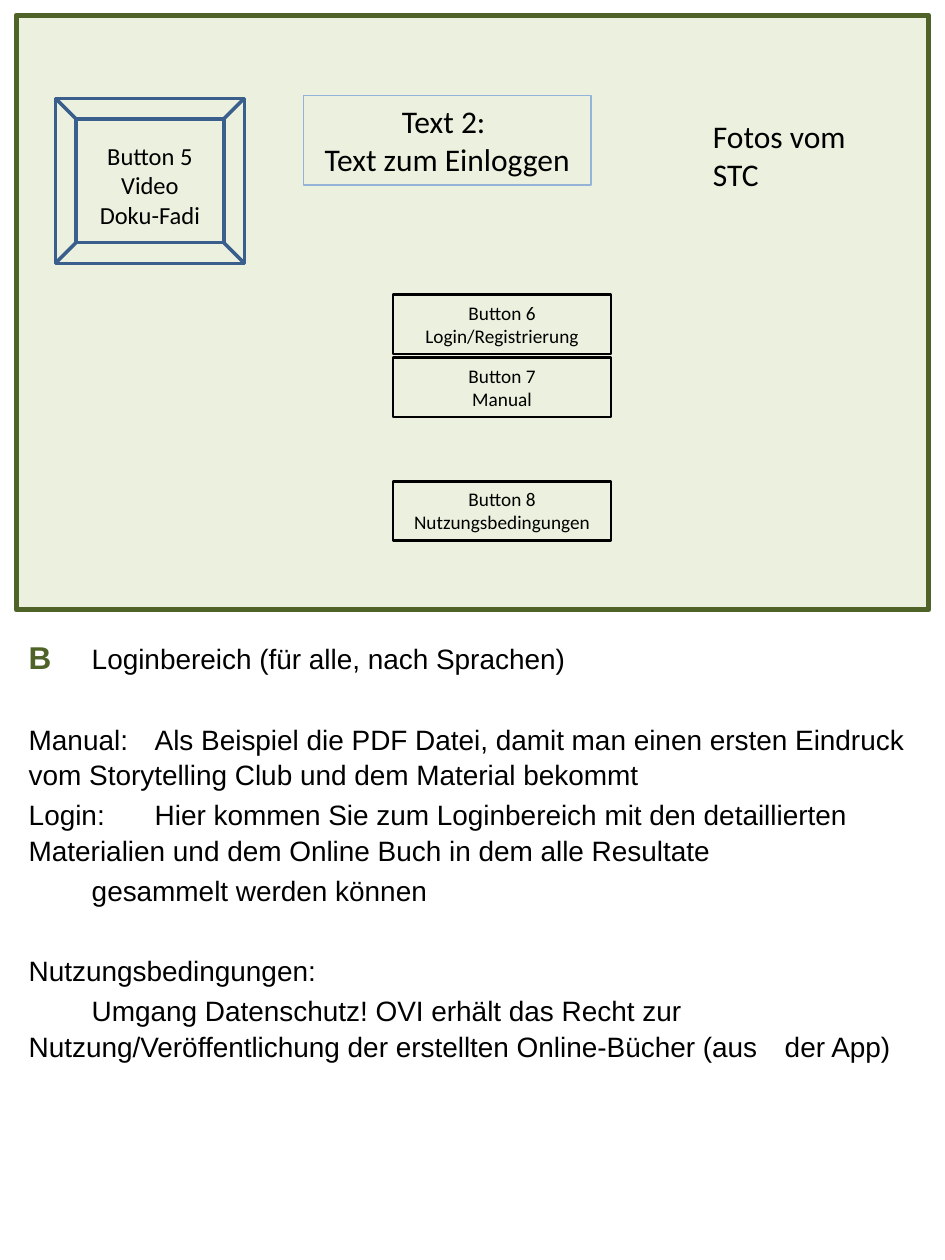
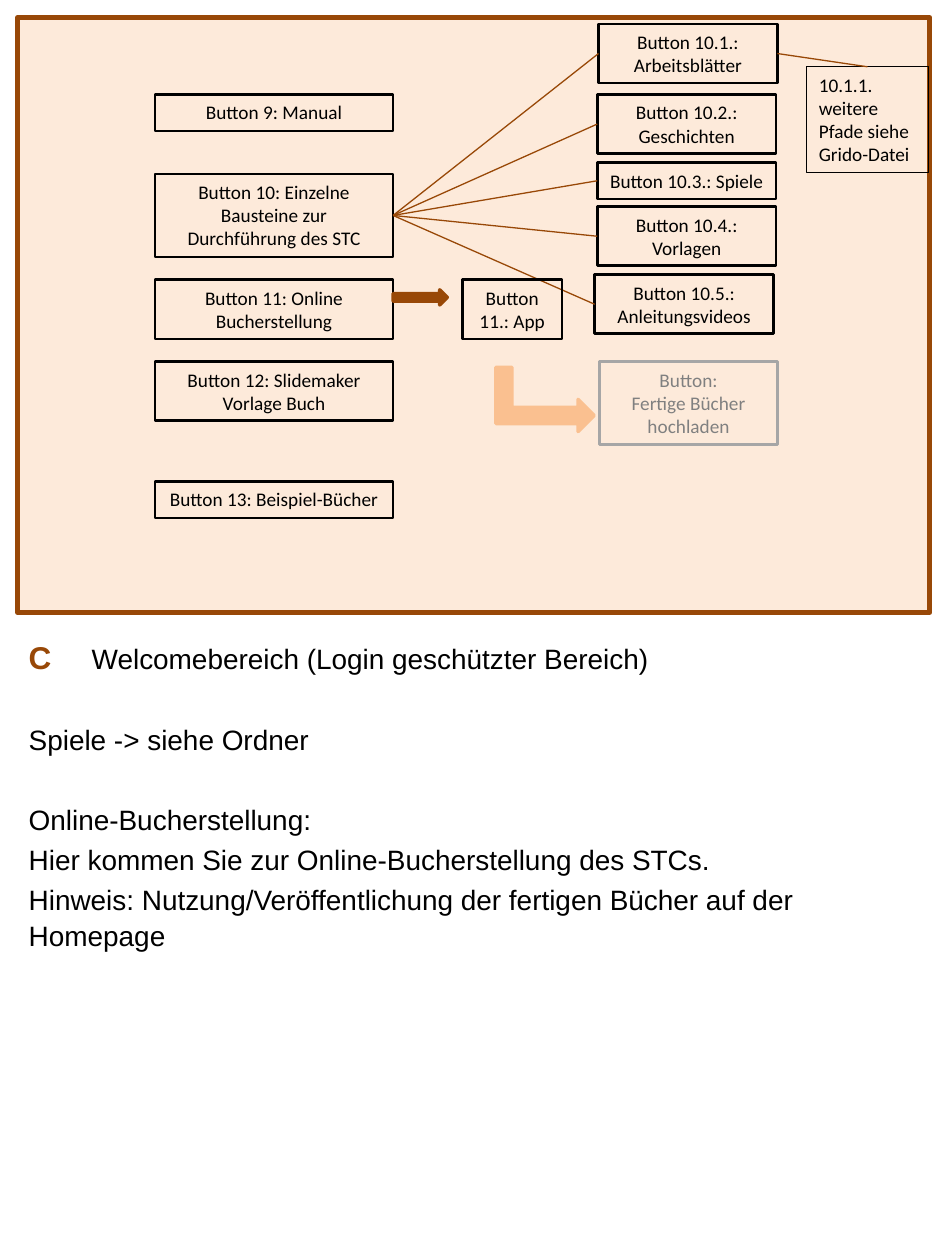
import pptx
import pptx.dml.color
import pptx.enum.shapes
import pptx.enum.text
import pptx.util
import lxml.etree

SHAPES = pptx.enum.shapes.MSO_SHAPE
LEFT = pptx.enum.text.PP_ALIGN.LEFT
CENTER = pptx.enum.text.PP_ALIGN.CENTER
BLACK, BLUE, PALE_BLUE = "000000", "3A5F8C", "95B3D7"
GREEN, PALE_GREEN = "4F6228", "EBF1DE"
BROWN, PALE_ORANGE, ORANGE = "984807", "FDEADA", "FAC090"
GRAY, LIGHT_GRAY = "808080", "A6A6A6"

presentation = pptx.Presentation()
presentation.slide_width = pptx.util.Inches(7.5)
presentation.slide_height = pptx.util.Inches(10)

# Grid of 75 columns and 100 rows
COLUMN = presentation.slide_width / 75
ROW = presentation.slide_height / 100
PANEL_WIDTH, PANEL_HEIGHT = 72.4, 47.2
ONE_LINE, TWO_LINES, THREE_LINES = 2.9, 4.7, 6.6


def color(hex_code):
    return pptx.dml.color.RGBColor.from_string(hex_code)


def add_box(slide, left, top, width, height, text="", kind=SHAPES.RECTANGLE, fill=None,
            line=None, line_width=1.5, font="Calibri", size=11, ink=BLACK, align=CENTER):
    shape = slide.shapes.add_shape(kind, round(left * COLUMN), round(top * ROW),
                                   round(width * COLUMN), round(height * ROW))
    shape.shadow.inherit = False
    if fill:
        shape.fill.solid()
        shape.fill.fore_color.rgb = color(fill)
    else:
        shape.fill.background()
    if line:
        shape.line.color.rgb = color(line)
        shape.line.width = pptx.util.Pt(line_width)
    else:
        shape.line.fill.background()
    if text:
        frame = shape.text_frame
        frame.word_wrap = True
        frame.vertical_anchor = pptx.enum.text.MSO_ANCHOR.TOP
        frame.text = text
        for paragraph in frame.paragraphs:
            paragraph.alignment = align
            for run in paragraph.runs:
                run.font.name = font
                run.font.size = pptx.util.Pt(size)
                run.font.color.rgb = color(ink)
    return shape


# Notes and panel shared by both slides; each section is set off by a wide gap
pages = [
    ("B", "Loginbereich (für alle, nach Sprachen)", GREEN, PALE_GREEN, 1.3, 1.2, [
        ["Manual: \tAls Beispiel die PDF Datei, damit man einen ersten Eindruck "
         "\tvom Storytelling Club und dem Material bekommt",
         "Login:\tHier kommen Sie zum Loginbereich mit den detaillierten "
         "\tMaterialien und dem Online Buch in dem alle Resultate",
         "\tgesammelt werden können"],
        ["Nutzungsbedingungen:",
         "\tUmgang Datenschutz! OVI erhält das Recht zur "
         "\t\tNutzung/Veröffentlichung der erstellten Online-Bücher (aus \tder App)"],
    ]),
    ("C", "Welcomebereich (Login geschützter Bereich)", BROWN, PALE_ORANGE, 1.4, 1.4, [
        ["Spiele -> siehe Ordner"],
        ["Online-Bucherstellung:",
         "Hier kommen Sie zur Online-Bucherstellung des STCs.",
         "Hinweis: Nutzung/Veröffentlichung der fertigen Bücher auf der Homepage"],
    ]),
]
slides = []
for letter, title, dark, pale, panel_left, panel_top, sections in pages:
    slide = presentation.slides.add_slide(presentation.slide_layouts[6])
    slides.append(slide)
    lines = [letter] + [line for section in sections for line in section]
    gaps = [3] + [3 if position else 25.5 for section in sections
                  for position in range(len(section))]
    notes = add_box(slide, 1.3, 50, PANEL_WIDTH, PANEL_HEIGHT, "\n".join(lines),
                    font="Arial", size=16, align=LEFT)
    for paragraph, gap in zip(notes.text_frame.paragraphs, gaps):
        paragraph.space_before = pptx.util.Pt(gap)
        paragraph.line_spacing = 1.05

    heading = notes.text_frame.paragraphs[0]
    letter_font = heading.runs[0].font
    letter_font.size = pptx.util.Pt(18)
    letter_font.bold = True
    letter_font.color.rgb = color(dark)
    title_run = heading.add_run()
    title_run.text = "\t" + title
    title_run.font.name = "Arial"
    title_run.font.size = pptx.util.Pt(16)
    title_run.font.color.rgb = color(BLACK)

    add_box(slide, panel_left, panel_top, PANEL_WIDTH, PANEL_HEIGHT,
            fill=pale, line=dark, line_width=3)

login_slide, welcome_slide = slides

# Login area: buttons
for top, text in [(23.4, "Button 6\nLogin/Registrierung"),
                  (28.4, "Button 7\nManual"),
                  (38.2, "Button 8\nNutzungsbedingungen")]:
    add_box(login_slide, 31.2, top, 17.3, TWO_LINES, text, line=BLACK)

# Login area: texts and video button
add_box(login_slide, 24.1, 7.6, 22.8, 7.1, "Text 2: \nText zum Einloggen",
        line=PALE_BLUE, line_width=0.75, size=18)
add_box(login_slide, 5.2, 10.7, 13.4, 8.1, "Button 5\nVideo\nDoku-Fadi", size=14)
add_box(login_slide, 4.4, 7.8, 15, 13.1, kind=SHAPES.BEVEL, line=BLUE, line_width=2)
add_box(login_slide, 55.6, 8.8, 13.4, 7.1, "Fotos vom STC", size=18, align=LEFT)

# Welcome area: main buttons
main_buttons = [
    add_box(welcome_slide, 12.3, top, 18.9, height, text, line=BLACK)
    for top, height, text in [
        (7.5, ONE_LINE, "Button 9: Manual"),
        (13.8, THREE_LINES, "Button 10: Einzelne Bausteine zur Durchführung des STC"),
        (22.2, TWO_LINES, "Button 11: Online Bucherstellung"),
        (28.7, TWO_LINES, "Button 12: Slidemaker Vorlage Buch"),
        (38.2, ONE_LINE, "Button 13: Beispiel-Bücher"),
    ]
]
modules_button = main_buttons[1]

# Welcome area: module buttons
module_buttons = [
    add_box(welcome_slide, left, top, 14.2, height, text, line=BLACK)
    for left, top, height, text in [
        (47.5, 1.9, TWO_LINES, "Button 10.1.: Arbeitsblätter"),
        (47.4, 7.5, TWO_LINES, "Button 10.2.: Geschichten"),
        (47.4, 12.9, ONE_LINE, "Button 10.3.: Spiele"),
        (47.4, 16.4, TWO_LINES, "Button 10.4.: Vorlagen"),
        (47.2, 21.8, TWO_LINES, "Button 10.5.: Anleitungsvideos"),
    ]
]
path_note = add_box(welcome_slide, 64, 5.3, 9.7, 8.4,
                    "10.1.1.\nweitere Pfade siehe Grido-Datei",
                    line=BLACK, line_width=0.75, align=LEFT)

# Welcome area: links from button 10 to its modules and on to the note
links = [(modules_button, button, 1) for button in module_buttons]
links.append((module_buttons[0], path_note, 0))
for start, end, end_side in links:
    connector = welcome_slide.shapes.add_connector(
        pptx.enum.shapes.MSO_CONNECTOR.STRAIGHT, 0, 0, 0, 0)
    connector.begin_connect(start, 3)
    connector.end_connect(end, end_side)
    connector.line.color.rgb = color(BROWN)
    connector.line.width = pptx.util.Pt(0.75)
    lxml.etree.SubElement(connector.element.spPr, pptx.oxml.ns.qn("a:effectLst"))

# Welcome area: app and upload
add_box(welcome_slide, 36.7, 22.2, 7.9, TWO_LINES, "Button 11.: App", line=BLACK)
add_box(welcome_slide, 31.2, 23, 4.3, 1.2, kind=SHAPES.RIGHT_ARROW,
        fill=BROWN, line=BROWN, line_width=2)
upload_arrow = add_box(welcome_slide, 40.7, 27.8, 5.1, 7.8, kind=SHAPES.BENT_UP_ARROW,
                       fill=ORANGE, line=ORANGE, line_width=2)
upload_arrow.rotation = 90
add_box(welcome_slide, 47.6, 28.7, 14.1, THREE_LINES, "Button:\nFertige Bücher hochladen",
        line=LIGHT_GRAY, ink=GRAY)

presentation.save("out.pptx")
